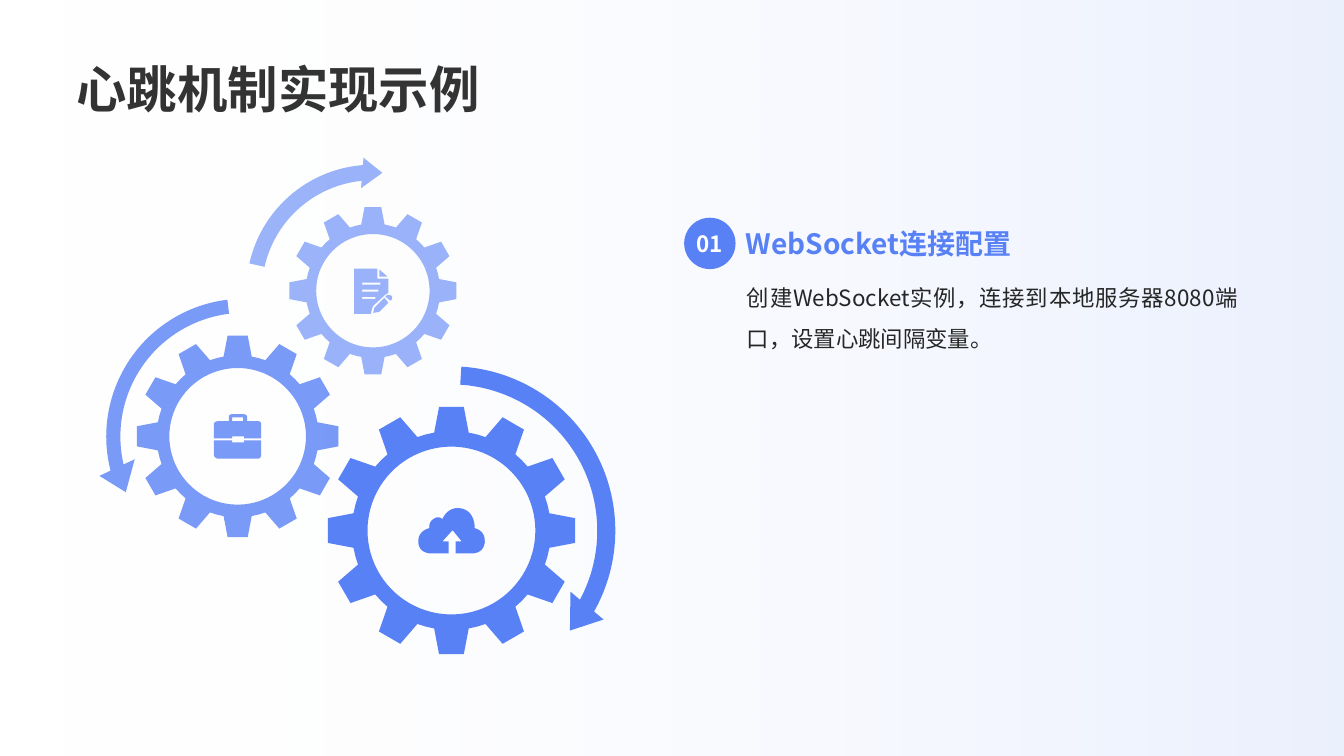
from math import cos, radians, sin

from lxml.etree import SubElement
from pptx import Presentation
from pptx.dml.color import RGBColor
from pptx.enum.shapes import MSO_SHAPE as SHAPE
from pptx.enum.text import MSO_ANCHOR as ANCHOR, PP_ALIGN as ALIGN
from pptx.oxml.ns import qn
from pptx.util import Pt

FONT = "Noto Sans CJK SC"
BLUE = "5881F6"
TEETH = 12

# Outline entries: (x, y) is a straight step, six numbers are a Bézier step.
CLOUD = [[
    (40.3, 14.4), (40.3, 14.4, 41, 1.4, 29.5, 0), (20.2, -0.7, 17.3, 7.9, 17.3, 7.9),
    (17.3, 7.9, 14.4, 5, 10.8, 7.9), (7.2, 10.1, 7.9, 14.4, 7.9, 14.4),
    (7.9, 14.4, 0, 15.8, 0, 23.8), (0, 32.4, 8.6, 32.4, 8.6, 32.4),
    (21.6, 32.4), (21.6, 23.8), (17.3, 23.8), (24.5, 15.8), (31, 23.8),
    (26.6, 23.8), (26.6, 32.4), (38.9, 32.4), (38.9, 32.4, 46.8, 32.4, 47.5, 24.5),
    (48.2, 15.8, 40.3, 14.4, 40.3, 14.4),
]]
BRIEFCASE = [
    [(21.6, 18.7), (21.6, 20.2), (13, 20.2), (13, 18.7), (0, 18.7), (0, 28.8),
     (0, 30.2, 1.4, 31.7, 2.9, 31.7), (31.7, 31.7),
     (33.1, 31.7, 33.8, 30.2, 33.8, 28.8), (33.8, 18.7)],
    [(13, 17.3), (13, 15.8), (21.6, 15.8), (21.6, 17.3), (33.8, 17.3), (33.8, 7.2),
     (33.8, 5.8, 33.1, 5, 31.7, 5), (23.8, 5), (23.8, 2.2),
     (23.8, 0.7, 22.3, 0, 21.6, 0), (13, 0), (11.5, 0, 10.8, 0.7, 10.8, 2.2),
     (10.8, 5), (2.9, 5), (1.4, 5, 0, 5.8, 0, 7.2), (0, 17.3)],
    [(13, 2.2), (20.9, 2.2), (20.9, 5), (13, 5)],
]
DOCUMENT = [
    [(18, 0.7), (23.8, 5.8), (18, 5.8)],
    [(13, 28.1), (12.2, 31), (12.2, 32.4), (0, 32.4), (0, 0), (16.6, 0), (16.6, 7.2),
     (24.5, 7.2), (24.5, 17.3), (23.8, 18, 23, 18, 22.3, 18.7), (13.7, 26.6)],
    [(14.4, 28.1), (21.6, 20.9), (24.5, 24.5), (18, 31), (13.7, 31.7)],
    [(26.6, 19.4), (27.4, 20.2, 27.4, 21.6, 26.6, 22.3), (25.9, 23), (22.3, 20.2),
     (23, 19.4), (23.8, 18.7, 25.2, 18.7, 26.6, 19.4)],
] + [
    [(5.8, y), (right, y), (right, y + 1.5), (5.8, y + 1.5)]
    for y, right in [(10.1, 18.7), (15.1, 17.3), (20.2, 15.1)]
]


def rgb(color):
    return RGBColor.from_string(color)


def set_alpha(clr, percent):
    SubElement(clr, qn("a:alpha")).set("val", str(percent * 1000))


def paint(sp, color, opacity=100):
    sp.shadow.inherit = False
    sp.line.fill.background()
    sp.fill.solid()
    sp.fill.fore_color.rgb = rgb(color)
    if opacity < 100:
        set_alpha(sp.element.spPr.find(".//" + qn("a:srgbClr")), opacity)


def add_backdrop(s, width, height):
    sp = s.shapes.add_shape(SHAPE.RECTANGLE, 0, 0, width, height)
    sp.shadow.inherit = False
    sp.line.fill.background()
    sp.fill.gradient()
    sp.fill.gradient_angle = 0
    stops = zip(sp.fill.gradient_stops, [("EFF3FF", 0, 0), (BLUE, 1, 12)])
    for stop, (color, position, _) in stops:
        stop.color.rgb = rgb(color)
        stop.position = position
    for clr, opacity in zip(sp.element.spPr.iter(qn("a:srgbClr")), (0, 12)):
        set_alpha(clr, opacity)


def flatten(contour, steps=10):
    """Turn straight and Bézier entries into a list of points."""
    points = []
    for entry in contour:
        if len(entry) == 2:
            points.append(entry)
            continue
        start, c1, c2, end = points[-1], entry[:2], entry[2:4], entry[4:]
        for i in range(1, steps + 1):
            t = i / steps
            u = 1 - t
            points.append(tuple(
                u**3 * a + 3 * u * u * t * b + 3 * u * t * t * c + t**3 * d
                for a, b, c, d in zip(start, c1, c2, end)))
    return points


def add_outline(s, contours, x, y, opacity):
    builder = None
    for contour in contours:
        first, *rest = [(Pt(px), Pt(py)) for px, py in flatten(contour)]
        if builder is None:
            builder = s.shapes.build_freeform(*first)
        else:
            builder.move_to(*first)
        builder.add_line_segments(rest, close=True)
    paint(builder.convert_to_shape(Pt(x), Pt(y)), BLUE, opacity)


def polar(radius, degrees):
    return radius * cos(radians(degrees)), radius * sin(radians(degrees))


def add_gear(s, x, y, radius, opacity):
    root = 0.8 * radius
    pitch = 360 / TEETH
    profile = [(root, -10), (radius, -5.7), (radius, 5.7), (root, 10), (root, pitch / 2)]
    rim = [polar(r, pitch * tooth + turn) for tooth in range(TEETH) for r, turn in profile]
    hole = [polar(0.675 * radius, turn) for turn in range(0, 360, 4)]
    add_outline(s, [rim, hole], x, y, opacity)


def add_arc_arrow(s, x, y, size, adjustments, opacity, flip=False):
    sp = s.shapes.add_shape(SHAPE.CIRCULAR_ARROW, Pt(x), Pt(y), Pt(size), Pt(size))
    for i, value in enumerate(adjustments):
        sp.adjustments[i] = value
    if flip:
        sp.element.spPr.xfrm.set("flipH", "1")
    paint(sp, BLUE, opacity)


def write(sp, text, size, color, bold=False, anchor=ANCHOR.TOP,
          align=ALIGN.LEFT, spacing=None, wrap=True):
    tf = sp.text_frame
    tf.margin_left = tf.margin_right = tf.margin_top = tf.margin_bottom = 0
    tf.word_wrap = wrap
    tf.vertical_anchor = anchor
    p = tf.paragraphs[0]
    p.alignment = align
    p.line_spacing = spacing
    r = p.add_run()
    r.text = text
    r.font.size = Pt(size)
    r.font.bold = bold
    r.font.color.rgb = rgb(color)
    r.font.name = FONT
    SubElement(r.font._element, qn("a:ea")).set("typeface", FONT)


def add_text(s, x, y, w, h, text, size, color, **style):
    write(s.shapes.add_textbox(Pt(x), Pt(y), Pt(w), Pt(h)), text, size, color, **style)


def add_badge(s, x, y, size, text):
    sp = s.shapes.add_shape(SHAPE.OVAL, Pt(x), Pt(y), Pt(size), Pt(size))
    paint(sp, BLUE)
    write(sp, text, 16, "FFFFFF", bold=True, anchor=ANCHOR.MIDDLE,
          align=ALIGN.CENTER, wrap=False)


def main():
    prs = Presentation()
    prs.slide_width, prs.slide_height = Pt(960), Pt(540)
    s = prs.slides.add_slide(prs.slide_layouts[6])

    add_backdrop(s, prs.slide_width, prs.slide_height)
    add_text(s, 54.7, 28, 850, 57, "心跳机制实现示例", 36, "333333",
             bold=True, anchor=ANCHOR.BOTTOM)

    add_gear(s, 322.5, 379, 88.8, 100)
    add_gear(s, 266.4, 207.7, 60, 60)
    add_gear(s, 169.8, 311.7, 72.3, 80)
    add_arc_arrow(s, 170.6, 112.3, 191.5, (0.058, 5.8, 158.949, 115.627, 0.057), 60)
    add_arc_arrow(s, 67, 204.5, 214.6, (0.047, 6.881, 8.245, 166.167, 0.065), 80, flip=True)
    add_arc_arrow(s, 195.8, 252.7, 252.7, (0.051, 6.704, 17.314, 164.172, 0.061), 100)
    add_outline(s, CLOUD, 298.8, 362.9, 100)
    add_outline(s, DOCUMENT, 253, 191.8, 60)
    add_outline(s, BRIEFCASE, 152.8, 295.9, 80)

    add_text(s, 533.5, 193.7, 350.6, 255,
             "创建WebSocket实例，连接到本地服务器8080端口，设置心跳间隔变量。",
             16, "262626", align=ALIGN.JUSTIFY, spacing=1.5)
    add_text(s, 532.8, 155.5, 350.6, 30.2, "WebSocket连接配置", 20, BLUE,
             bold=True, anchor=ANCHOR.BOTTOM)
    add_badge(s, 488.7, 155.5, 36.7, "01")

    prs.save("out.pptx")


if __name__ == "__main__":
    main()
